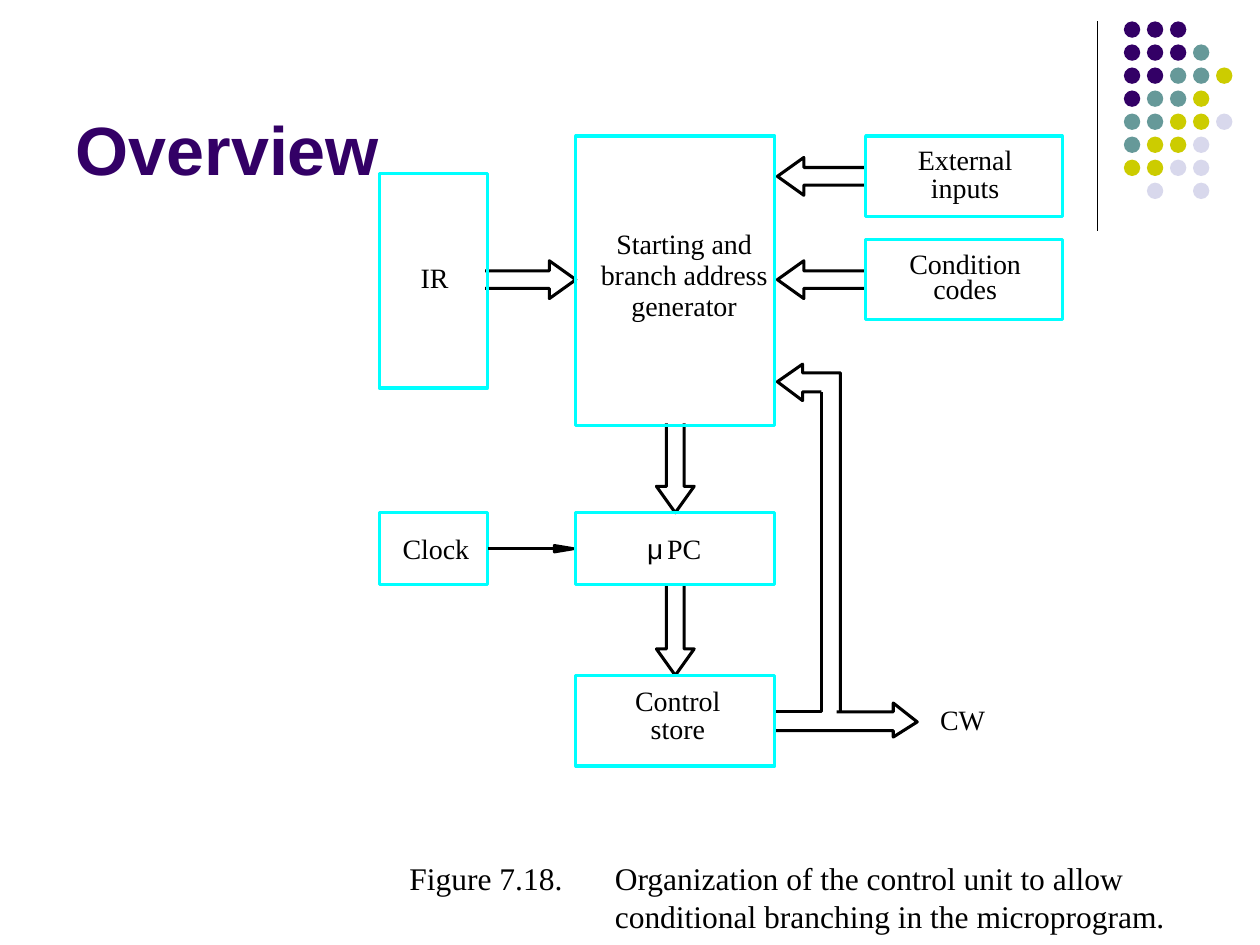
import pptx
import pptx.dml.color
import pptx.enum.shapes
import pptx.enum.text
import pptx.oxml.ns
import pptx.util
from lxml import etree
from pptx.util import Inches, Pt

MSO_SHAPE = pptx.enum.shapes.MSO_SHAPE
STRAIGHT = pptx.enum.shapes.MSO_CONNECTOR.STRAIGHT
PP_ALIGN = pptx.enum.text.PP_ALIGN
qn = pptx.oxml.ns.qn


def rgb(color):
    return pptx.dml.color.RGBColor.from_string(color)


def add_text(left, top, width, height, text, size, font="Times New Roman", color="000000"):
    """Add a text box without insets and return its text frame."""
    tf = s.shapes.add_textbox(Inches(left), Inches(top), Inches(width), Inches(height)).text_frame
    tf.margin_left = tf.margin_right = tf.margin_top = tf.margin_bottom = 0
    tf.word_wrap = True
    tf.text = text
    for p in tf.paragraphs:
        for r in p.runs:
            r.font.size = Pt(size)
            r.font.name = font
            r.font.color.rgb = rgb(color)
    return tf


prs = pptx.Presentation()
prs.slide_width, prs.slide_height = Inches(10), Inches(7.5)
s = prs.slides.add_slide(prs.slide_layouts[6])

# Corner ornament: a rule and a grid of dots
rule = s.shapes.add_connector(STRAIGHT, Inches(8.71), Inches(0.17), Inches(8.71), Inches(1.83))
rule.line.color.rgb = rgb("000000")
rule.line.width = Pt(0.75)
etree.SubElement(rule._element.spPr, qn("a:effectLst"))

dot_colors = {"P": "330066", "T": "669999", "Y": "CCCC00", "L": "D8D8EC"}
dot_rows = ["PPP", "PPPT", "PPTTY", "PTTY", "TTYYL", "TYYL", "YYLL", " L L"]
pitch = 1.28 / 7
for row, codes in enumerate(dot_rows):
    for col, code in enumerate(codes):
        if code in dot_colors:
            dot = s.shapes.add_shape(MSO_SHAPE.OVAL, Inches(8.92 + col * pitch),
                                     Inches(0.17 + row * pitch), Inches(0.13), Inches(0.13))
            dot.shadow.inherit = False
            dot.fill.solid()
            dot.fill.fore_color.rgb = rgb(dot_colors[code])
            dot.line.fill.background()

# Title and caption
tf = add_text(0.6, 0.13, 8.05, 1.37, "Overview", 39, "Arial", "330066")
tf.vertical_anchor = pptx.enum.text.MSO_ANCHOR.BOTTOM
tf.paragraphs[0].runs[0].font.bold = True

tf = add_text(3.25, 6.82, 6.2, 0.6,
              "Figure 7.18.\tOrganization of the control unit to allow\n"
              "\tconditional branching in the microprogram.", 18)
for p in tf.paragraphs:
    tabs = etree.SubElement(p._p.get_or_add_pPr(), qn("a:tabLst"))
    etree.SubElement(tabs, qn("a:tab"), pos=str(Inches(1.63)), algn="l")

# Block arrows, open at the tail: (tail, tip)
shaft, wing, head = 0.07, 0.15, 0.21
straight_arrows = [
    ((6.87, 1.4), (6.17, 1.4)),
    ((6.87, 2.22), (6.17, 2.22)),
    ((3.85, 2.22), (4.57, 2.22)),
    ((5.36, 3.36), (5.36, 4.07)),
    ((5.36, 4.64), (5.36, 5.36)),
]
# Control store output, branching to CW and back to the generator
outlines = [
    [(6.67, 5.65), (6.67, 2.96), (6.37, 2.96), (6.37, 2.89), (6.17, 3.03),
     (6.37, 3.18), (6.37, 3.11), (6.52, 3.11)],
    [(6.52, 3.11), (6.52, 5.65), (6.15, 5.65)],
    [(6.15, 5.8), (7.09, 5.8), (7.09, 5.85), (7.28, 5.73), (7.09, 5.58),
     (7.09, 5.65), (6.64, 5.65)],
]
for (x0, y0), (x1, y1) in straight_arrows:
    length = abs(x1 - x0) + abs(y1 - y0)
    ux, uy = (x1 - x0) / length, (y1 - y0) / length
    neck = length - head
    profile = [(0, shaft), (neck, shaft), (neck, wing), (length, 0),
               (neck, -wing), (neck, -shaft), (0, -shaft)]
    outlines.append([(x0 + a * ux - b * uy, y0 + a * uy + b * ux) for a, b in profile])

clock_y = 4.07 + 0.57 / 2
clock_head = [(4.4, clock_y + 0.025), (4.55, clock_y), (4.4, clock_y - 0.025)]
for outline in outlines + [clock_head]:
    solid = outline is clock_head
    points = [(Inches(x), Inches(y)) for x, y in outline]
    builder = s.shapes.build_freeform(*points[0])
    builder.add_line_segments(points[1:], close=solid)
    sp = builder.convert_to_shape()
    sp.shadow.inherit = False
    if solid:
        sp.fill.solid()
        sp.fill.fore_color.rgb = rgb("000000")
    else:
        sp.fill.background()
    sp.line.color.rgb = rgb("000000")
    sp.line.width = Pt(1.75)

# Blocks: left, top, width, height
blocks = {
    "store": (4.57, 5.36, 1.58, 0.72),
    "codes": (6.87, 1.9, 1.56, 0.64),
    "clock": (3.01, 4.07, 0.86, 0.57),
    "generator": (4.57, 1.08, 1.58, 2.3),
    "inputs": (6.87, 1.08, 1.56, 0.64),
    "ir": (3.01, 1.38, 0.86, 1.7),
    "pc": (4.57, 4.07, 1.58, 0.57),
}
shapes = {}
for key, box in blocks.items():
    sp = s.shapes.add_shape(MSO_SHAPE.RECTANGLE, *map(Inches, box))
    sp.shadow.inherit = False
    sp.fill.background()
    sp.line.color.rgb = rgb("00FFFF")
    sp.line.width = Pt(1.75)
    shapes[key] = sp

clock_line = s.shapes.add_connector(STRAIGHT, Inches(3.87), Inches(clock_y),
                                    Inches(4.4), Inches(clock_y))
clock_line.begin_connect(shapes["clock"], 3)
clock_line.line.color.rgb = rgb("000000")
clock_line.line.width = Pt(1.75)
etree.SubElement(clock_line._element.spPr, qn("a:effectLst"))

# Labels: text, centre, top, width, line pitch in points, font
labels = [
    ("Control\nstore", 5.38, 5.47, 0.7, 16, "Times New Roman"),
    ("Clock", 3.46, 4.22, 0.6, None, "Times New Roman"),
    ("Starting and\nbranch address\ngenerator", 5.43, 1.82, 1.4, 17.7, "Times New Roman"),
    ("Condition\ncodes", 7.66, 2.02, 0.95, 14.4, "Times New Roman"),
    ("External\ninputs", 7.66, 1.18, 0.8, 16, "Times New Roman"),
    ("CW", 7.64, 5.58, 0.4, None, "Times New Roman"),
    ("IR", 3.45, 2.07, 0.3, None, "Times New Roman"),
    ("μ", 5.2, 4.22, 0.16, None, "Arial"),
    ("PC", 5.43, 4.22, 0.3, None, "Times New Roman"),
]
for text, center, top, width, line_pitch, font in labels:
    height = 0.27 * (text.count("\n") + 1)
    tf = add_text(center - width / 2, top, width, height, text, 16, font)
    for p in tf.paragraphs:
        p.alignment = PP_ALIGN.CENTER
        if line_pitch:
            p.line_spacing = Pt(line_pitch)

prs.save("out.pptx")
